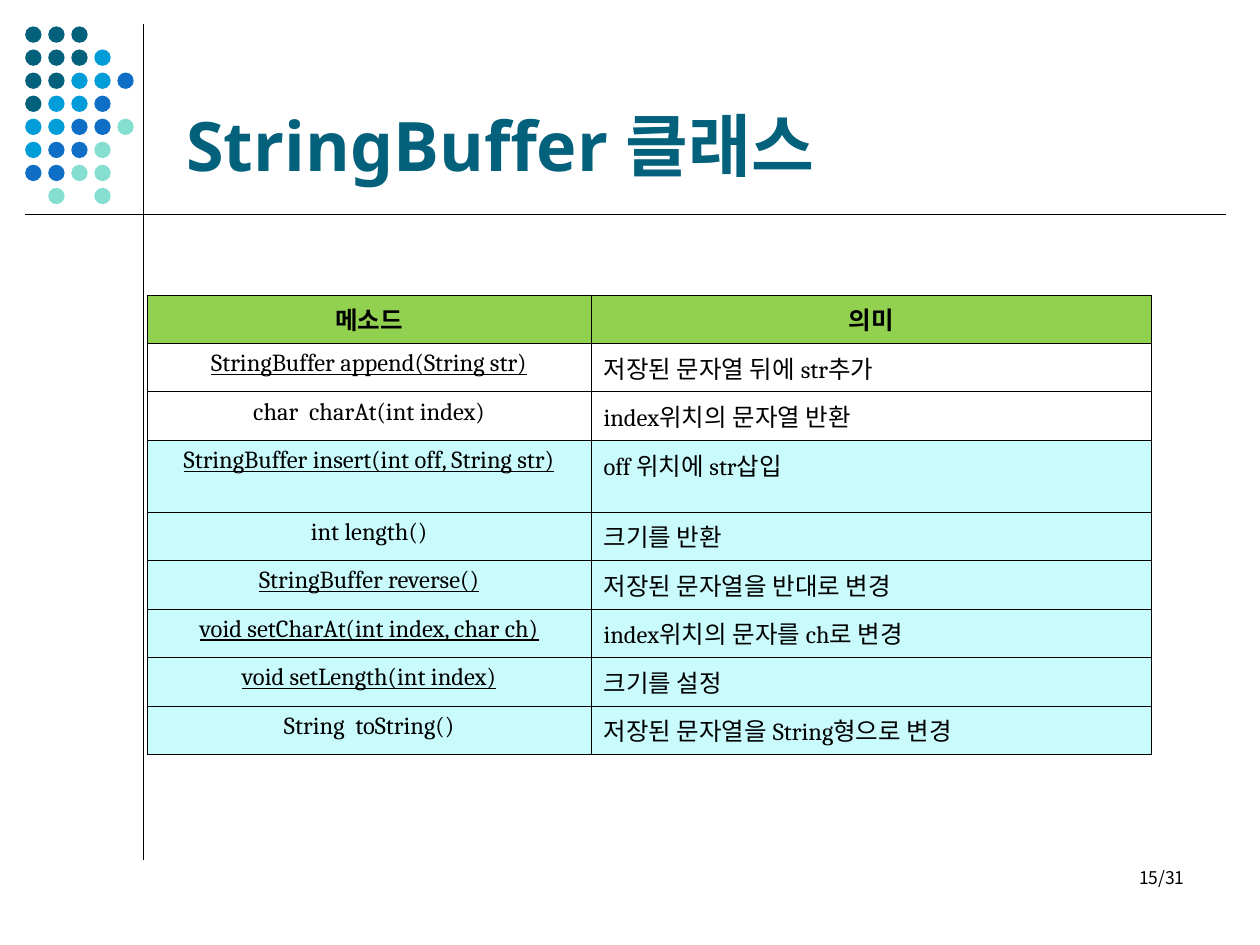
from lxml import etree
from pptx import Presentation
from pptx.dml.color import RGBColor
from pptx.enum.shapes import MSO_CONNECTOR, MSO_SHAPE
from pptx.enum.text import MSO_ANCHOR, PP_ALIGN
from pptx.oxml.ns import qn
from pptx.util import Inches, Pt

LINE, OVAL = MSO_CONNECTOR.STRAIGHT, MSO_SHAPE.OVAL
LEFT, MID, RIGHT = PP_ALIGN.LEFT, PP_ALIGN.CENTER, PP_ALIGN.RIGHT
TOP, LOW = MSO_ANCHOR.TOP, MSO_ANCHOR.BOTTOM
BLACK = RGBColor(0x00, 0x00, 0x00)
WHITE = RGBColor(0xFF, 0xFF, 0xFF)
TEAL = RGBColor(0x04, 0x61, 0x7B)
SKY = RGBColor(0x00, 0x9D, 0xD9)
BLUE = RGBColor(0x0F, 0x6F, 0xC6)
MINT = RGBColor(0x85, 0xDF, 0xD0)
GREEN = RGBColor(0x92, 0xD0, 0x50)
PALE = RGBColor(0xC9, 0xFA, 0xFC)
SANS, SERIF, KOREAN = "Noto Sans", "Cambria", "Noto Sans CJK KR"

# One letter per dot, one string per row of the dot grid
TINTS = {"T": TEAL, "S": SKY, "B": BLUE, "M": MINT}
DOTS = ["TTT", "TTTS", "TTSSB", "TSSB", "SSBBM", "SBBM", "BBMM", " M M"]

# Method, meaning, underlined, fill, row height
METHODS = [
    ("StringBuffer append(String str)", "저장된 문자열 뒤에 str추가", True, WHITE, 0.385),
    ("char  charAt(int index)", "index위치의 문자열 반환", False, WHITE, 0.385),
    ("StringBuffer insert(int off, String str)", "off 위치에 str삽입", True, PALE, 0.57),
    ("int length()", "크기를 반환", False, PALE, 0.385),
    ("StringBuffer reverse()", "저장된 문자열을 반대로 변경", True, PALE, 0.385),
    ("void setCharAt(int index, char ch)", "index위치의 문자를 ch로 변경", True, PALE, 0.385),
    ("void setLength(int index)", "크기를 설정", True, PALE, 0.385),
    ("String  toString()", "저장된 문자열을 String형으로 변경", False, PALE, 0.385),
]


def write(frame, text, size=14, font=SERIF, color=BLACK, bold=False,
          under=False, align=LEFT):
    para = frame.paragraphs[0]
    para.alignment = align
    run = para.add_run()
    run.text = text
    face = run.font
    face.size, face.name = Pt(size), font
    face.bold, face.underline = bold, under
    face.color.rgb = color
    east = etree.Element(qn("a:ea"), typeface=KOREAN)
    face._element.find(qn("a:latin")).addnext(east)


def border(cell, color=BLACK, width=0.45):
    props = cell._tc.get_or_add_tcPr()
    for spot, side in enumerate(("lnL", "lnR", "lnT", "lnB")):
        edge = etree.Element(qn("a:" + side), w=str(Pt(width)))
        fill = etree.SubElement(edge, qn("a:solidFill"))
        etree.SubElement(fill, qn("a:srgbClr"), val=str(color))
        props.insert(spot, edge)


class Deck:
    """Holds the current slide; places are shares of the slide's size."""

    def __init__(self, wide=10, high=7.5):
        self.show = Presentation()
        self.show.slide_width = Inches(wide)
        self.show.slide_height = Inches(high)
        self.slide = self.show.slides.add_slide(self.show.slide_layouts[6])
        self.shapes = self.slide.shapes

    def x(self, share):
        return int(self.show.slide_width * share)

    def y(self, share):
        return int(self.show.slide_height * share)

    def box(self, left, top, wide, high):
        return self.x(left), self.y(top), self.x(wide), self.y(high)

    def rule(self, left, top, right, low):
        line = self.shapes.add_connector(LINE, *self.box(left, top, right, low))
        line.line.color.rgb = BLACK
        line.line.width = Pt(0.75)
        etree.SubElement(line._element.spPr, qn("a:effectLst"))

    def dots(self, left, top, pitch, size):
        """Draws the dot grid; pitch and size are in inches."""
        for row, marks in enumerate(DOTS):
            for col, mark in enumerate(marks):
                if mark not in TINTS:
                    continue
                dot = self.shapes.add_shape(
                    OVAL, Inches(left + col * pitch), Inches(top + row * pitch),
                    Inches(size), Inches(size))
                dot.shadow.inherit = False
                dot.fill.solid()
                dot.fill.fore_color.rgb = TINTS[mark]
                dot.line.fill.background()

    def text(self, text, place, anchor=TOP, foot=0.05, **style):
        frame = self.shapes.add_textbox(*self.box(*place)).text_frame
        frame.word_wrap = True
        frame.vertical_anchor = anchor
        frame.margin_bottom = Inches(foot)
        write(frame, text, **style)

    def cell(self, cell, text, fill, **style):
        cell.fill.solid()
        cell.fill.fore_color.rgb = fill
        border(cell)
        write(cell.text_frame, text, **style)

    def table(self, place, cols, head):
        grid = self.shapes.add_table(len(METHODS) + 1, len(cols),
                                     *self.box(*place)).table
        for col, wide in zip(grid.columns, cols):
            col.width = Inches(wide)
        grid.rows[0].height = Inches(0.385)
        for col, text in enumerate(head):
            self.cell(grid.cell(0, col), text, GREEN, bold=True, align=MID)
        for row, (name, sense, under, fill, high) in enumerate(METHODS, 1):
            grid.rows[row].height = Inches(high)
            self.cell(grid.cell(row, 0), name, fill, under=under, align=MID)
            self.cell(grid.cell(row, 1), sense, fill)


def main():
    deck = Deck()
    deck.rule(0.114, 0.025, 0.114, 0.91)
    deck.dots(0.2, 0.21, 0.183, 0.13)
    deck.rule(0.02, 0.227, 0.973, 0.227)
    deck.text("StringBuffer 클래스", (0.138, 0.028, 0.825, 0.168), anchor=LOW,
              foot=0, size=39, font=SANS, color=TEAL, bold=True)
    deck.text("15/31", (0.717, 0.911, 0.233, 0.067), size=10, font=KOREAN,
              align=RIGHT)
    deck.table((0.117, 0.312, 0.797, 0.487), (3.52, 4.45), ("메소드", "의미"))
    deck.show.save("out.pptx")


if __name__ == "__main__":
    main()
